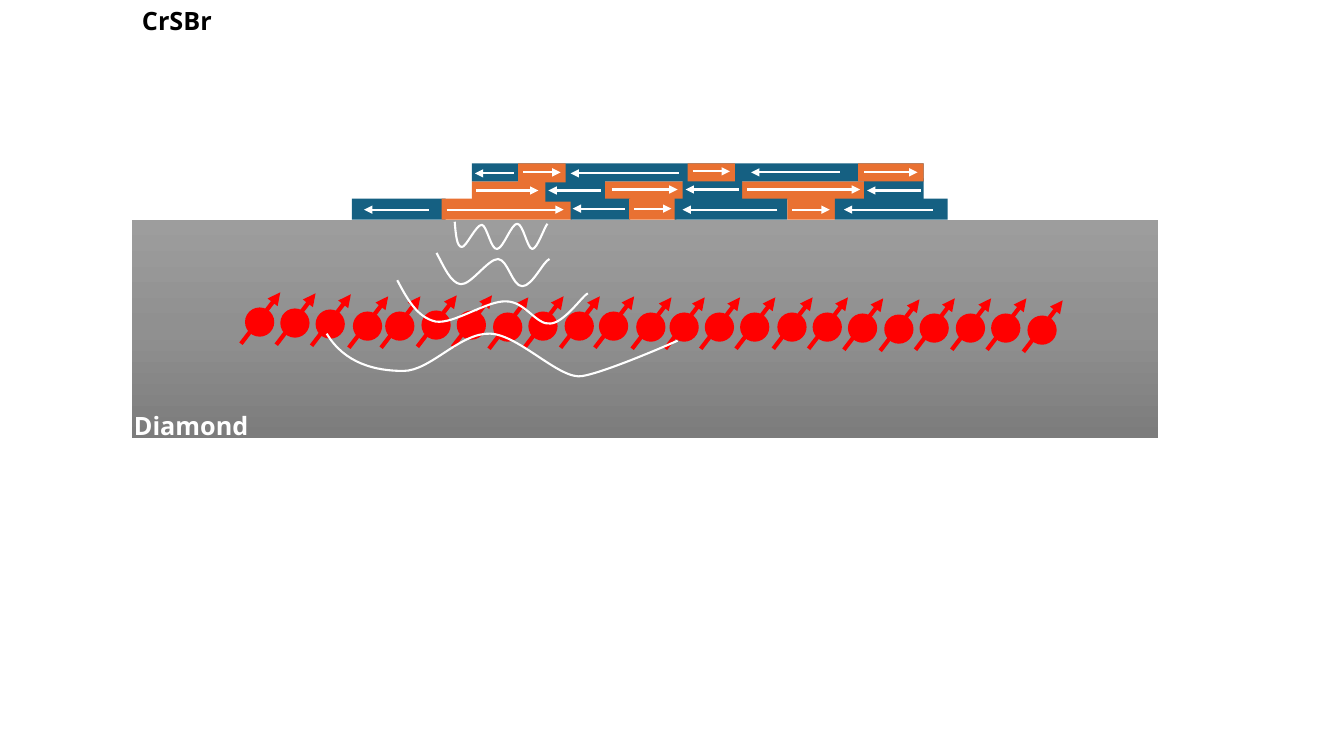
import copy

import pptx
import pptx.util
import pptx.dml.color
import pptx.enum.shapes
import pptx.oxml.ns
import pptx.oxml.xmlchemy
from pptx.util import Inches

WHITE, RED, BLUE, ORANGE = "FFFFFF", "FF0000", "156082", "E97132"
SHAPE = pptx.enum.shapes.MSO_SHAPE
LINE = pptx.enum.shapes.MSO_CONNECTOR.STRAIGHT
qn = pptx.oxml.ns.qn
make_tag = pptx.oxml.xmlchemy.OxmlElement

# left, top, width, height, colour
LAYERS = [
    (4.68, 1.8, 4.47, 0.18, ORANGE),
    (4.68, 1.62, 4.48, 0.18, BLUE),
    (3.49, 1.97, 0.93, 0.21, BLUE),
    (4.38, 1.97, 1.29, 0.21, ORANGE),
    (5.66, 1.97, 0.59, 0.21, BLUE),
    (6.24, 1.97, 0.47, 0.21, ORANGE),
    (6.69, 1.97, 1.12, 0.21, BLUE),
    (7.81, 1.97, 0.47, 0.21, ORANGE),
    (8.28, 1.97, 1.12, 0.21, BLUE),
    (5.41, 1.79, 0.59, 0.21, BLUE),
    (6.77, 1.78, 0.59, 0.21, BLUE),
    (8.57, 1.77, 0.59, 0.21, BLUE),
    (5.14, 1.62, 0.47, 0.19, ORANGE),
    (6.82, 1.62, 0.47, 0.18, ORANGE),
    (8.51, 1.62, 0.65, 0.18, ORANGE),
]

# height on the slide, then start and end of each level arrow
FIELDS = [
    (1.7, [(6.87, 7.24)]),
    (1.71, [(8.33, 7.45), (8.57, 9.1), (5.19, 5.56)]),
    (1.72, [(6.73, 5.66), (5.1, 4.71)]),
    (1.88, [(7.41, 8.53), (6.07, 6.72), (7.33, 6.8)]),
    (1.89, [(4.72, 5.34), (5.96, 5.44), (9.13, 8.6)]),
    (2.07, [(6.2, 5.68), (6.29, 6.66)]),
    (2.08, [(4.25, 3.61), (7.71, 6.77), (9.25, 8.37), (7.86, 8.23), (4.43, 5.59)]),
]

# top, then the left edges of the spins at that height
SPINS = [
    (3.05, [2.43]),
    (3.06, [2.78]),
    (3.07, [3.13]),
    (3.08, [4.18, 4.53]),
    (3.09, [3.5, 3.82, 5.24, 5.6, 5.94]),
    (3.1, [4.89, 6.31, 6.64, 6.99, 7.34, 7.71, 8.06]),
    (3.11, [8.41, 9.12, 9.48, 9.83]),
    (3.12, [8.77]),
    (3.13, [10.19]),
]

# start point, then three Bezier points for each curve
WAVES = [
    [(4.51, 2.2), (4.52, 2.32), (4.53, 2.45), (4.58, 2.45),
     (4.62, 2.46), (4.72, 2.23), (4.78, 2.23), (4.83, 2.24), (4.87, 2.48), (4.93, 2.47),
     (4.99, 2.47), (5.07, 2.22), (5.13, 2.22), (5.19, 2.22), (5.23, 2.47), (5.28, 2.47),
     (5.33, 2.47), (5.4, 2.25), (5.43, 2.22)],
    [(4.33, 2.51), (4.4, 2.64), (4.47, 2.81), (4.57, 2.82),
     (4.67, 2.83), (4.84, 2.57), (4.94, 2.57), (5.04, 2.58), (5.08, 2.84), (5.18, 2.84),
     (5.28, 2.84), (5.39, 2.59), (5.45, 2.57)],
    [(3.94, 2.78), (4.04, 2.97), (4.14, 3.15), (4.32, 3.19),
     (4.5, 3.22), (4.83, 2.98), (5.02, 2.99), (5.21, 2.99), (5.32, 3.23), (5.46, 3.21),
     (5.6, 3.2), (5.78, 2.93), (5.83, 2.91)],
    [(3.24, 3.31), (3.42, 3.61), (3.73, 3.68), (4, 3.68),
     (4.27, 3.68), (4.56, 3.3), (4.86, 3.31), (5.15, 3.32), (5.56, 3.78), (5.78, 3.73),
     (6, 3.69), (6.54, 3.46), (6.72, 3.38)],
]


def color(code):
    return pptx.dml.color.RGBColor.from_string(code)


def add_block(shapes, kind, left, top, width, height, fill):
    block = shapes.add_shape(kind, *map(Inches, (left, top, width, height)))
    block.shadow.inherit = False
    block.line.fill.background()
    block.fill.solid()
    block.fill.fore_color.rgb = color(fill)
    return block


def shade(block, stops):
    """Fill a block from top to bottom with three (position, colour) stops."""
    block.fill.gradient()
    block.fill.gradient_angle = 270
    first = block._element.spPr.find(".//" + qn("a:gs"))
    first.addnext(copy.deepcopy(first))
    for stop, (place, code) in zip(block.fill.gradient_stops, stops):
        stop.position = place
        stop.color.rgb = color(code)


def add_arrow(shapes, start, end, code, width):
    arrow = shapes.add_connector(LINE, *map(Inches, (*start, *end)))
    arrow.line.color.rgb = color(code)
    arrow.line.width = pptx.util.Pt(width)
    tip = make_tag("a:tailEnd")
    tip.set("type", "triangle")
    arrow.line._get_or_add_ln().append(tip)
    arrow._element.spPr.append(make_tag("a:effectLst"))


def add_spin(shapes, left, top):
    """Group a red ball with the slanted arrow through it."""
    spin = shapes.add_group_shape().shapes
    add_block(spin, SHAPE.OVAL, left, top, 0.29, 0.29, RED)
    add_arrow(spin, (left - 0.04, top + 0.36), (left + 0.35, top - 0.15), RED, 3)


def add_wave(shapes, points):
    """Draw an open outline and turn each three points into one Bezier curve."""
    start, *rest = [(Inches(x), Inches(y)) for x, y in points]
    maker = shapes.build_freeform(*start)
    maker.add_line_segments(rest, close=False)
    wave = maker.convert_to_shape()
    wave.shadow.inherit = False
    wave.fill.background()
    wave.line.color.rgb = color(WHITE)
    wave.line.width = pptx.util.Pt(1.5)
    steps = list(wave._element.iter(qn("a:lnTo")))
    for i in range(0, len(steps), 3):
        curve = make_tag("a:cubicBezTo")
        steps[i].addprevious(curve)
        for step in steps[i:i + 3]:
            curve.append(step[0])
            step.getparent().remove(step)


def add_text(shapes, text, left, top, width, height, size=18, code="000000", bold=True):
    frame = shapes.add_textbox(*map(Inches, (left, top, width, height))).text_frame
    frame.word_wrap = True
    run = frame.paragraphs[0].add_run()
    run.text = text
    run.font.name = "Noto Sans"
    run.font.size = pptx.util.Pt(size)
    run.font.bold = bold
    run.font.color.rgb = color(code)


def main():
    deck = pptx.Presentation()
    deck.slide_width, deck.slide_height = Inches(13.33), Inches(7.5)
    shapes = deck.slides.add_slide(deck.slide_layouts[6]).shapes

    diamond = add_block(shapes, SHAPE.RECTANGLE, 1.31, 2.18, 10.18, 2.17, "909090")
    shade(diamond, [(0, "9D9D9D"), (0.5, "909090"), (1, "7C7C7C")])
    add_text(shapes, "CrSBr", 1.31, 0, 1.08, 0.4)
    add_text(shapes, "Diamond", 1.23, 4.02, 1.49, 0.4, code=WHITE)

    for layer in LAYERS:
        add_block(shapes, SHAPE.RECTANGLE, *layer)
    for y, spans in FIELDS:
        for start, end in spans:
            add_arrow(shapes, (start, y), (end, y), WHITE, 1.5)
    for top, lefts in SPINS:
        for left in lefts:
            add_spin(shapes, left, top)
    for wave in WAVES:
        add_wave(shapes, wave)

    deck.save("out.pptx")


if __name__ == "__main__":
    main()
